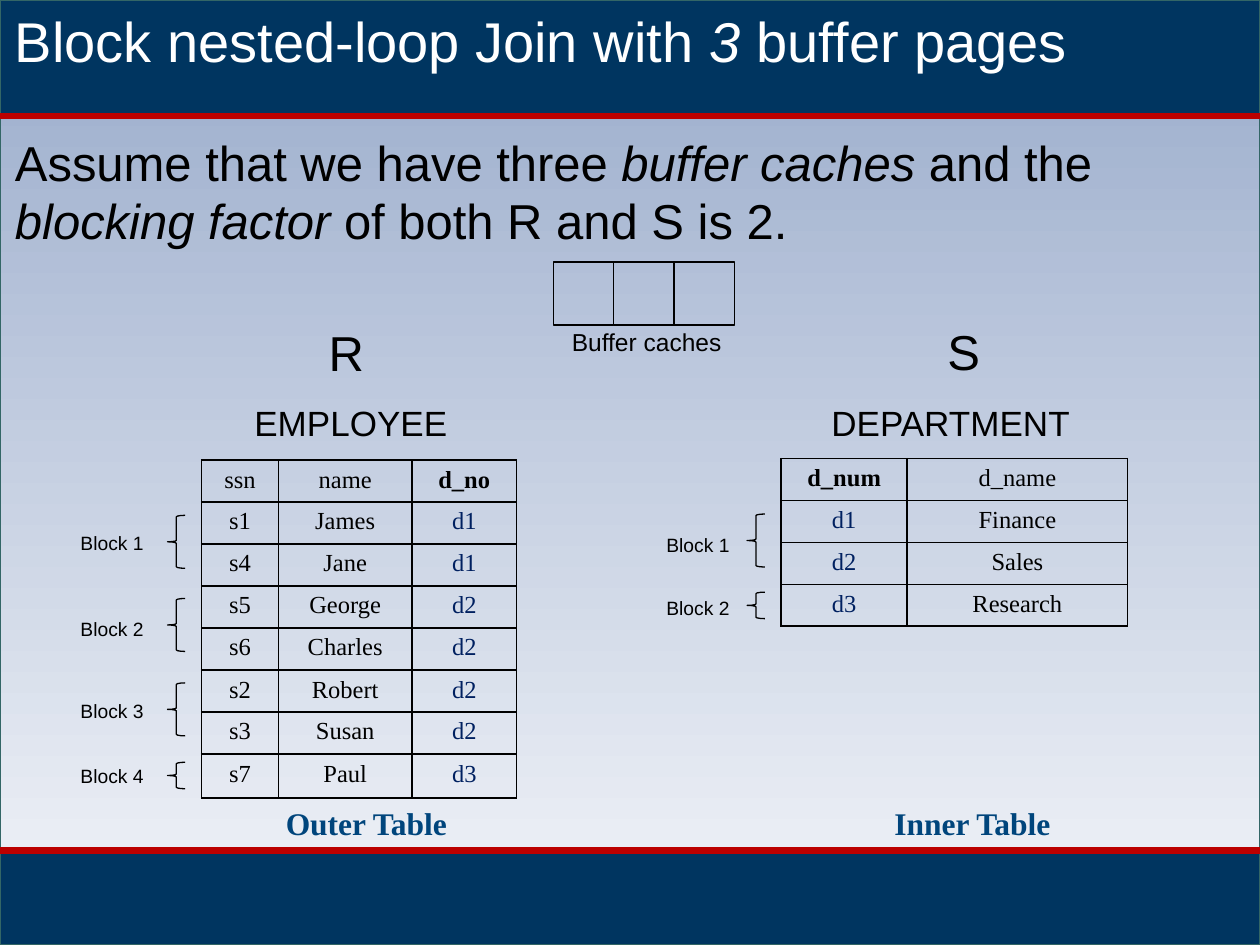
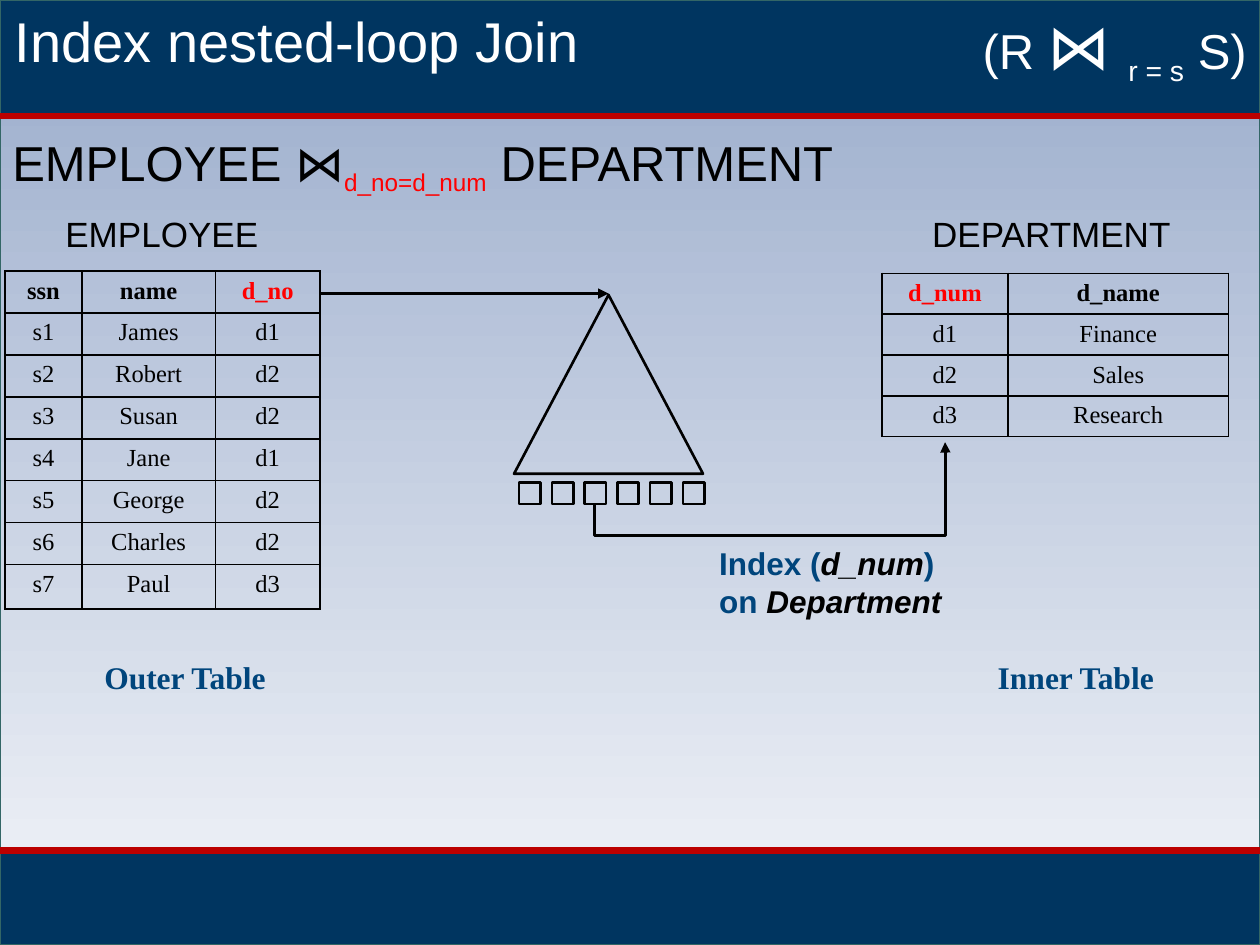
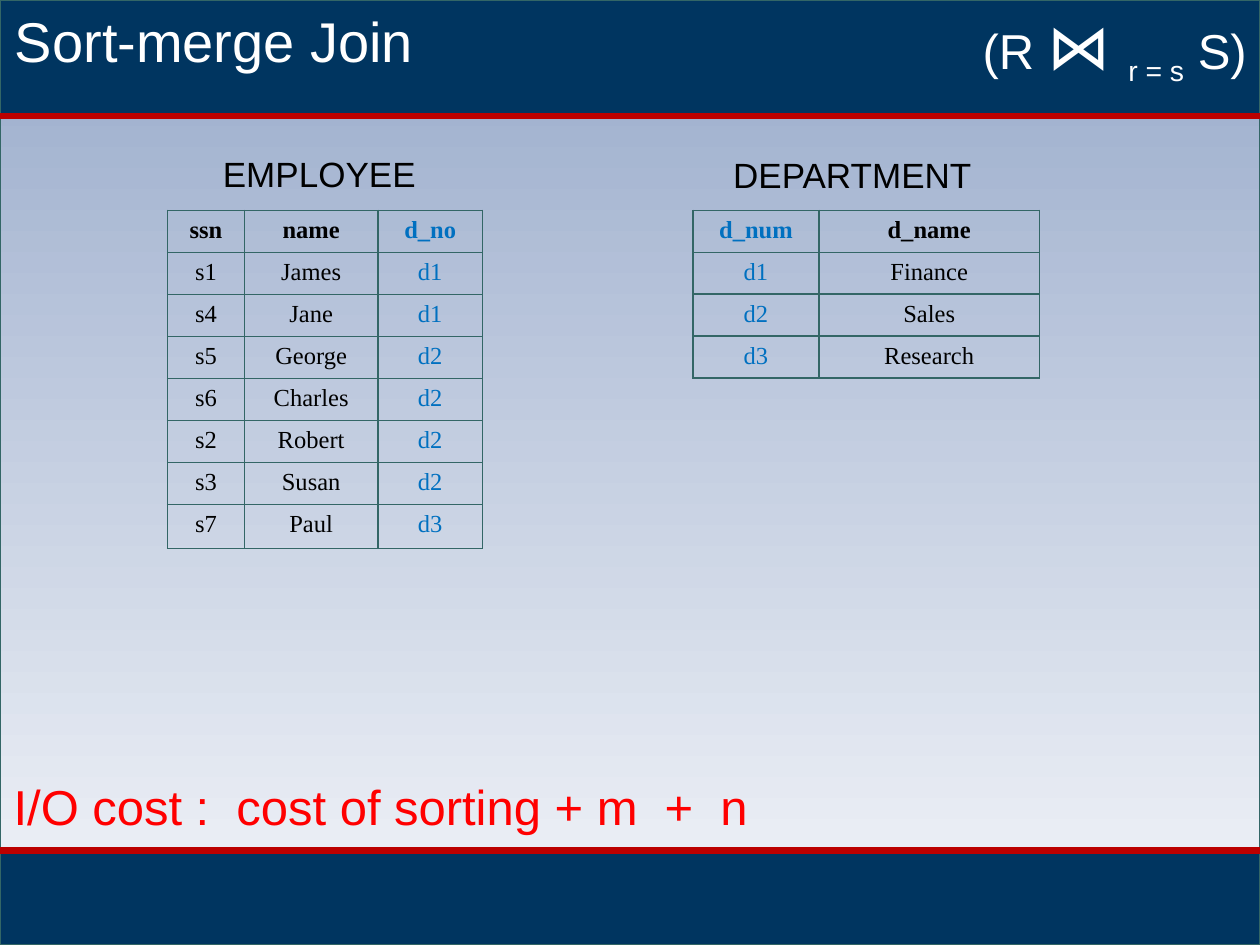
from dataclasses import dataclass, field

from lxml import etree
from pptx import Presentation
from pptx.dml import color
from pptx.enum import shapes, text
from pptx.oxml import ns
from pptx.util import Inches, Pt


def style(size, tint, name="Arial", **extra):
    return {"name": name, "size": size, "tint": tint, **extra}


@dataclass(frozen=True)
class Theme:
    navy: str = "003560"
    red: str = "BC0000"
    edge: str = "336666"
    sky: str = "99ABCB"
    mist: str = "F3F5F9"
    ink: str = "000000"
    accent: str = "FF0000"
    key_navy: str = "002060"
    key_blue: str = "0070C0"
    thin: float = 0.75
    grid: float = 1
    medium: float = 1.5
    thick: float = 3.75
    text: dict = field(default_factory=lambda: {
        "title": style(32, "FFFFFF"),
        "formula": style(28, "FFFFFF"),
        "body": style(28, "000000"),
        "heading": style(20, "000000"),
        "note": style(14, "000000"),
        "label": style(11, "000000"),
        "index": style(18, "00457C", bold=True),
        "caption": style(18, "00457C", "Times New Roman", bold=True),
        "cell": style(14, "000000", "Times New Roman", bold=False),
    })


@dataclass(frozen=True)
class Box:
    left: float
    top: float
    width: float
    height: float

    def lengths(self):
        return [Inches(n) for n in (self.left, self.top, self.width, self.height)]

    def inner(self, dx, dy, width, height):
        return Box(self.left + dx, self.top + dy, width, height)


THEME = Theme()
SLIDE = Box(0, 0, 10, 7.5)
ROW = 1 / 3
LAST_ROW = 0.35
EMPLOYEE_COLUMNS = (0.61, 1.06, 0.83)
DEPARTMENT_COLUMNS = (1, 1.75)
EMPLOYEE_HEADER = ("ssn", "name", "d_no")
EMPLOYEES = [
    ("s1", "James", "d1"),
    ("s2", "Robert", "d2"),
    ("s3", "Susan", "d2"),
    ("s4", "Jane", "d1"),
    ("s5", "George", "d2"),
    ("s6", "Charles", "d2"),
    ("s7", "Paul", "d3"),
]
BY_DEPARTMENT = [EMPLOYEES[i] for i in (0, 3, 4, 5, 1, 2, 6)]
DEPARTMENTS = [("d_num", "d_name"), ("d1", "Finance"), ("d2", "Sales"), ("d3", "Research")]
ITALIC = {"italic": True}
SUBSCRIPT = {"baseline": -25000}


def rgb(value):
    return color.RGBColor.from_string(value)


def format_span(span, values):
    for name, value in values.items():
        if name == "tint":
            span.font.color.rgb = rgb(value)
        elif name == "baseline":
            span._r.get_or_add_rPr().set("baseline", str(value))
        else:
            setattr(span.font, name, Pt(value) if name == "size" else value)


def fill_para(para, content, base):
    for piece in [content] if isinstance(content, str) else content:
        words, changes = (piece, {}) if isinstance(piece, str) else piece
        span = para.add_run()
        span.text = words
        format_span(span, {**base, **changes})


def write(page, box, base, *paragraphs, wrap=False):
    frame = page.shapes.add_textbox(*box.lengths()).text_frame
    frame.word_wrap = wrap
    frame.auto_size = text.MSO_AUTO_SIZE.SHAPE_TO_FIT_TEXT
    for index, content in enumerate(paragraphs):
        para = frame.add_paragraph() if index else frame.paragraphs[0]
        fill_para(para, content, THEME.text[base])


def draw(page, kind, box, fill=None, line=THEME.ink, width=THEME.thin):
    shape = page.shapes.add_shape(kind, *box.lengths())
    shape.shadow.inherit = False
    if fill:
        shape.fill.solid()
        shape.fill.fore_color.rgb = rgb(fill)
    else:
        shape.fill.background()
    shape.line.color.rgb = rgb(line)
    shape.line.width = Pt(width)
    return shape


def connect(page, start, end, line=THEME.ink, width=THEME.medium, arrow=False,
            kind=shapes.MSO_CONNECTOR.STRAIGHT):
    ends = [Inches(n) for n in (*start, *end)]
    connector = page.shapes.add_connector(kind, *ends)
    connector.line.color.rgb = rgb(line)
    connector.line.width = Pt(width)
    if arrow:
        etree.SubElement(connector.line._get_or_add_ln(), ns.qn("a:tailEnd"), type="triangle")
    etree.SubElement(connector.element.spPr, ns.qn("a:effectLst"))
    return connector


def connect_below(page, start, end, drop):
    run, rise = end[0] - start[0], start[1] - end[1]
    middle_x, middle_y = (start[0] + end[0]) / 2, (start[1] + end[1]) / 2
    connector = connect(
        page,
        (middle_x + rise / 2, middle_y + run / 2),
        (middle_x - rise / 2, middle_y - run / 2),
        arrow=True, kind=shapes.MSO_CONNECTOR.ELBOW)
    properties = connector.element.spPr
    properties.find(ns.qn("a:xfrm")).set("rot", "5400000")
    geometry = properties.find(ns.qn("a:prstGeom"))
    geometry.set("prst", "bentConnector4")
    guides = geometry.find(ns.qn("a:avLst"))
    if guides is None:
        guides = etree.SubElement(geometry, ns.qn("a:avLst"))
    for name, value in (("adj1", -drop / rise), ("adj2", 1.001)):
        etree.SubElement(guides, ns.qn("a:gd"), name=name, fmla=f"val {round(value * 100000)}")


def border_cell(cell, tint):
    properties = cell._tc.get_or_add_tcPr()
    for index, side in enumerate(("lnL", "lnR", "lnT", "lnB")):
        line = etree.Element(ns.qn(f"a:{side}"), w=str(Pt(THEME.grid)))
        solid = etree.SubElement(line, ns.qn("a:solidFill"))
        etree.SubElement(solid, ns.qn("a:srgbClr"), val=tint)
        properties.insert(index, line)


def draw_table(page, box, columns, rows, heights, formats, border):
    table = page.shapes.add_table(len(rows), len(columns), *box.lengths()).table
    table.first_row = table.horz_banding = False
    for column, width in zip(table.columns, columns):
        column.width = Inches(width)
    for r, values in enumerate(rows):
        table.rows[r].height = Inches(heights[r])
        for c, value in enumerate(values):
            cell = table.cell(r, c)
            cell.fill.background()
            cell.margin_top, cell.margin_bottom = Inches(0.05), Inches(0.04)
            border_cell(cell, border)
            para = cell.text_frame.paragraphs[0]
            para.alignment = text.PP_ALIGN.CENTER
            fill_para(para, value, {**THEME.text["cell"], **formats[r][c]})


def cell_formats(rows, key, header_tint, key_tint, bold_all):
    return [[{"bold": r == 0 and (bold_all or c == key),
              "tint": (key_tint if r else header_tint) if c == key else THEME.ink}
             for c in range(len(row))] for r, row in enumerate(rows)]


def employee(page, box, records, groups, heading, look, border=THEME.ink):
    write(page, box.inner(*heading, 1.75, 0.44), "heading", "EMPLOYEE")
    rows = [EMPLOYEE_HEADER, *records]
    formats = cell_formats(rows, 2, *look)
    heights = [ROW] * (len(rows) - 1) + [LAST_ROW]
    first = 0
    for count in groups:
        chosen = slice(first, first + count)
        area = box.inner(0, sum(heights[:first]), box.width, sum(heights[chosen]))
        draw_table(page, area, EMPLOYEE_COLUMNS, rows[chosen], heights[chosen],
                   formats[chosen], border)
        first += count


def department(page, box, heading, look, border=THEME.ink):
    write(page, box.inner(*heading, 2.11, 0.44), "heading", "DEPARTMENT")
    heights = [box.height / len(DEPARTMENTS)] * len(DEPARTMENTS)
    draw_table(page, box, DEPARTMENT_COLUMNS, DEPARTMENTS, heights,
               cell_formats(DEPARTMENTS, 0, *look), border)


def block_marks(page, box, gap, marks):
    for number, (brace_top, brace_height, label_top) in enumerate(marks, 1):
        write(page, box.inner(0, label_top, 0.71, 0.29), "label", f"Block {number}")
        draw(page, shapes.MSO_SHAPE.LEFT_BRACE, box.inner(gap, brace_top, 0.14, brace_height))


def square_row(page, box, count, step, width=THEME.thin):
    for index in range(count):
        square = box.inner(index * step, 0, box.width, box.height)
        draw(page, shapes.MSO_SHAPE.RECTANGLE, square, width=width)


def captions(page, top, outer_left, inner_left):
    write(page, Box(outer_left, top, 1.5, 0.4), "caption", "Outer Table")
    write(page, Box(inner_left, top, 1.45, 0.4), "caption", "Inner Table")


def join_formula(page, box):
    write(page, box, "formula", ["(R ", ("⋈ ", {"size": 36}), ("r = s", SUBSCRIPT), " S)"])


def index_tree(page, box):
    draw(page, shapes.MSO_SHAPE.ISOSCELES_TRIANGLE, box, width=THEME.medium)
    square_row(page, box.inner(0.04, 1.49, 0.17, 0.17), 6, 0.26, THEME.medium)
    plain = {"tint": THEME.ink, "italic": True}
    write(page, box.inner(1.53, 1.93, 2, 0.71), "index",
          ["Index (", ("d_num", plain), ")"], ["on ", ("Department", plain)])


def new_page(deck, title):
    page = deck.slides.add_slide(deck.slide_layouts[6])
    rectangle = shapes.MSO_SHAPE.RECTANGLE
    backdrop = draw(page, rectangle, SLIDE, line=THEME.edge)
    backdrop.fill.gradient()
    backdrop.fill.gradient_angle = 270
    for stop, tint, place in zip(backdrop.fill.gradient_stops, (THEME.sky, THEME.mist), (0, 1)):
        stop.color.rgb = rgb(tint)
        stop.position = place
    for top, height, rule in ((6.75, 0.75, 6.75), (0, 0.92, 0.92)):
        draw(page, rectangle, Box(0, top, SLIDE.width, height), THEME.navy, THEME.edge)
        connect(page, (0, rule), (SLIDE.width, rule), THEME.red, THEME.thick)
    write(page, Box(0.02, 0, 9.98, 0.64), "title", title, wrap=True)
    return page


def block_join(deck):
    page = new_page(deck, ["Block nested-loop Join with ", ("3", ITALIC), " buffer pages"])
    write(page, Box(0.02, 1, 9.98, 1.04), "body",
          ["Assume that we have three ", ("buffer caches", ITALIC), " and the ",
           ("blocking factor ", ITALIC), "of both R and S is 2."], wrap=True)
    write(page, Box(2.51, 2.51, 0.49, 0.57), "body", "R")
    write(page, Box(7.42, 2.5, 0.46, 0.57), "body", "S")
    square_row(page, Box(4.39, 2.08, 0.48, 0.5), 3, 0.48)
    write(page, Box(4.44, 2.55, 1.4, 0.34), "note", "Buffer caches")
    look = (THEME.ink, THEME.key_navy, False)
    employee(page, Box(1.6, 3.65, 2.5, 2.68), BY_DEPARTMENT, (5, 2, 1), (0.32, -0.51), look)
    department(page, Box(6.2, 3.64, 2.75, 1.33), (0.3, -0.5), look)
    block_marks(page, Box(0.54, 3.65, 0.93, 2.68), 0.79,
                [(0.44, 0.42, 0.52), (1.1, 0.42, 1.2), (1.77, 0.42, 1.85), (2.4, 0.21, 2.37)])
    block_marks(page, Box(5.19, 3.64, 0.88, 1.33), 0.74,
                [(0.44, 0.42, 0.54), (1.06, 0.21, 1.04)])
    captions(page, 6.33, 2.17, 7)


def index_join(deck):
    page = new_page(deck, "Index nested-loop Join")
    join_formula(page, Box(7.7, 0, 2.3, 0.71))
    write(page, Box(0, 1, 7, 0.57), "body",
          ["EMPLOYEE ⋈", ("d_no=d_num", {"size": 24, "tint": THEME.accent, **SUBSCRIPT}),
           " DEPARTMENT"])
    look = (THEME.accent, THEME.ink, True)
    employee(page, Box(0.04, 2.15, 2.5, 2.68), EMPLOYEES, (8,), (0.38, -0.51), look)
    department(page, Box(7, 2.17, 2.75, 1.27), (0.3, -0.53), look)
    index_tree(page, Box(4.08, 2.34, 1.5, 1.42))
    connect(page, (2.54, 2.33), (4.83, 2.33), arrow=True)
    connect_below(page, (4.72, 4), (7.5, 3.51), 0.25)
    captions(page, 5.17, 0.73, 7.82)


def merge_join(deck):
    page = new_page(deck, "Sort-merge Join")
    join_formula(page, Box(7.7, 0, 2.3, 0.71))
    look = (THEME.key_blue, THEME.key_blue, True)
    employee(page, Box(1.33, 1.67, 2.5, 2.68), BY_DEPARTMENT, (5, 2, 1), (0.34, -0.51),
             look, THEME.edge)
    department(page, Box(5.5, 1.67, 2.75, 1.33), (0.22, -0.5), look, THEME.edge)
    write(page, Box(0.01, 6.11, 6.31, 0.57), "body",
          [("I/O cost :  cost of sorting + m  +  n", {"tint": THEME.accent})])


def main():
    deck = Presentation()
    deck.slide_width, deck.slide_height = Inches(SLIDE.width), Inches(SLIDE.height)
    for build in (block_join, index_join, merge_join):
        build(deck)
    deck.save("out.pptx")


if __name__ == "__main__":
    main()
